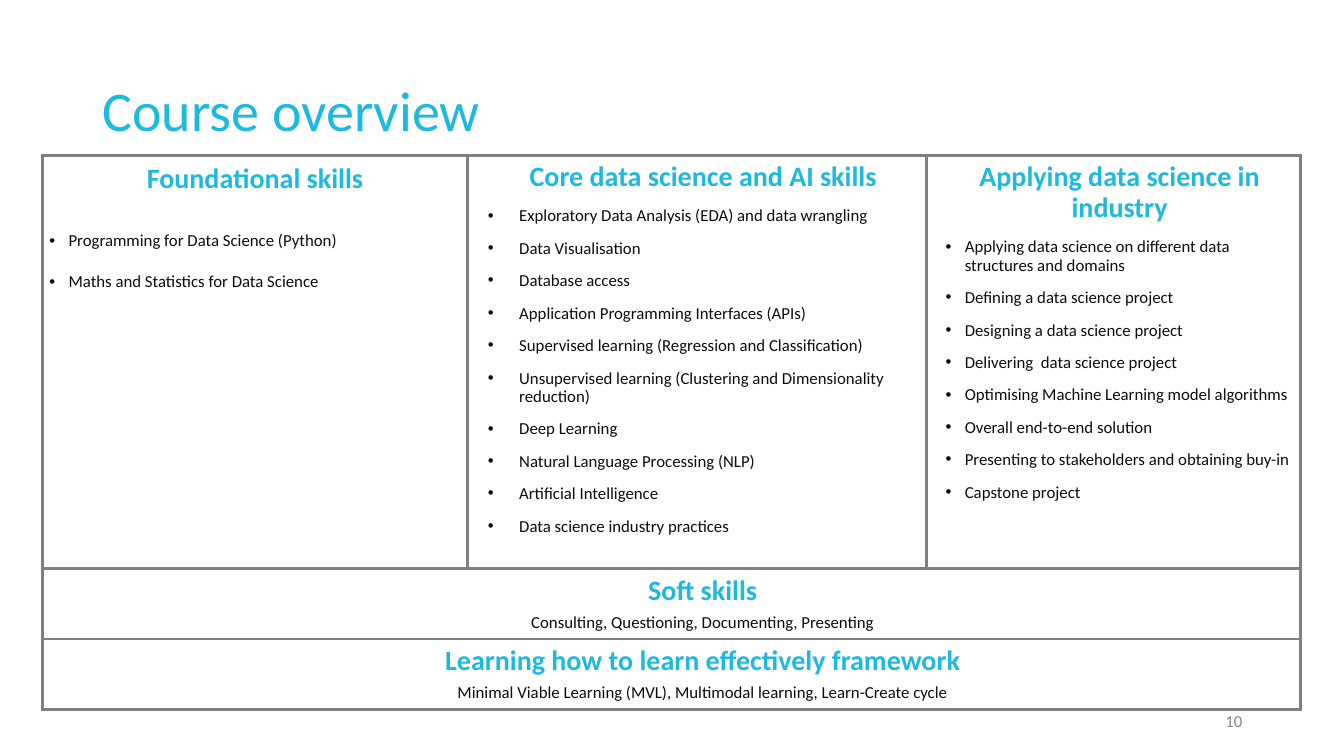
from lxml import etree
from pptx import Presentation
from pptx.dml.color import RGBColor
from pptx.enum import text
from pptx.oxml import ns
from pptx.util import Inches, Pt

COLOURS = {"accent": "1EBADD", "body": "0D0D0D", "border": "808080",
           "number": "888888", "white": "FFFFFF"}
FONT = "Calibri"
LEFT, CENTRE, RIGHT = text.PP_ALIGN.LEFT, text.PP_ALIGN.CENTER, text.PP_ALIGN.RIGHT

# Content: skill columns, then bands across the full width
SKILL_COLUMNS = [
    {"heading": "Foundational skills", "heading_margin": 0,
     "margin": 0.19, "hang": 0.19, "line": 1.0, "before": [24.4, 14.6],
     "items": ["Programming for Data Science (Python)",
               "Maths and Statistics for Data Science"]},
    {"heading": "Core data science and AI skills", "heading_margin": 0.12,
     "margin": 0.44, "hang": 0.31, "line": 0.9, "before": [10] * 10,
     "items": ["Exploratory Data Analysis (EDA) and data wrangling",
               "Data Visualisation",
               "Database access",
               "Application Programming Interfaces (APIs)",
               "Supervised learning (Regression and Classification)",
               "Unsupervised learning (Clustering and Dimensionality reduction)",
               "Deep Learning",
               "Natural Language Processing (NLP)",
               "Artificial Intelligence",
               "Data science industry practices"]},
    {"heading": "Applying data science in industry", "heading_margin": 0.12,
     "margin": 0.31, "hang": 0.19, "line": 0.9, "before": [10] * 8,
     "items": ["Applying data science on different data structures and domains",
               "Defining a data science project",
               "Designing a data science project",
               "Delivering\u00a0 data science project",
               "Optimising Machine Learning model algorithms",
               "Overall end-to-end solution",
               "Presenting to stakeholders and obtaining buy-in",
               "Capstone project"]},
]
BANDS = [
    ("Soft skills", "Consulting, Questioning, Documenting, Presenting"),
    ("Learning how to learn effectively framework",
     "Minimal Viable Learning (MVL), Multimodal learning, Learn-Create cycle"),
]
COLUMN_WIDTHS = [4.22, 4.55, 3.71]
ROW_HEIGHTS = [4.1, 0.7, 0.7]


def write(paragraph, words, size, colour, bold=False, align=LEFT, line=1.0,
          before=0, margin=0, hang=0):
    paragraph.text = words
    paragraph.alignment = align
    paragraph.line_spacing = line
    paragraph.space_before = Pt(before)
    properties = paragraph._p.get_or_add_pPr()
    properties.set("marL", str(Inches(margin)))
    properties.set("indent", str(-Inches(hang)))
    if hang:
        bullet_colour = etree.SubElement(properties, ns.qn("a:buClr"))
        etree.SubElement(bullet_colour, ns.qn("a:srgbClr"), val=COLOURS[colour])
        etree.SubElement(properties, ns.qn("a:buFont"), typeface="Arial")
        etree.SubElement(properties, ns.qn("a:buChar"), char="•")
    font = paragraph.font
    font.name, font.size, font.bold = FONT, Pt(size), bold
    font.color.rgb = RGBColor.from_string(COLOURS[colour])


def add_label(slide, box, words, size, colour, **style):
    frame = slide.shapes.add_textbox(*map(Inches, box)).text_frame
    frame.word_wrap = True
    frame.vertical_anchor = text.MSO_ANCHOR.MIDDLE
    write(frame.paragraphs[0], words, size, colour, **style)


def style_cell(cell):
    cell.margin_left = cell.margin_right = Inches(0.07)
    cell.margin_top = cell.margin_bottom = Inches(0.07)
    cell.fill.solid()
    cell.fill.fore_color.rgb = RGBColor.from_string(COLOURS["white"])
    properties = cell._tc.get_or_add_tcPr()
    for position, side in enumerate("LRTB"):
        border = etree.Element(ns.qn(f"a:ln{side}"), w=str(Pt(2.25)))
        fill = etree.SubElement(border, ns.qn("a:solidFill"))
        etree.SubElement(fill, ns.qn("a:srgbClr"), val=COLOURS["border"])
        properties.insert(position, border)


presentation = Presentation()
presentation.slide_width, presentation.slide_height = Inches(13.33), Inches(7.5)
slide = presentation.slides.add_slide(presentation.slide_layouts[6])

# Title and slide number
add_label(slide, (0.92, 0.4, 11.5, 1.45), "Course overview", 40, "accent", line=0.9)
add_label(slide, (9.42, 6.95, 3, 0.4), "10", 12, "number", align=RIGHT)

# Table grid
table = slide.shapes.add_table(
    len(ROW_HEIGHTS), len(COLUMN_WIDTHS), Inches(0.42), Inches(1.54),
    Inches(sum(COLUMN_WIDTHS)), Inches(sum(ROW_HEIGHTS))).table
table.first_row = table.horz_banding = False
for column, width in zip(table.columns, COLUMN_WIDTHS):
    column.width = Inches(width)
for row, height in zip(table.rows, ROW_HEIGHTS):
    row.height = Inches(height)
for cell in table.iter_cells():
    style_cell(cell)

# Skill columns
for index, skills in enumerate(SKILL_COLUMNS):
    frame = table.cell(0, index).text_frame
    write(frame.paragraphs[0], skills["heading"], 20, "accent", bold=True,
          align=CENTRE, line=skills["line"], margin=skills["heading_margin"])
    for item, before in zip(skills["items"], skills["before"]):
        write(frame.add_paragraph(), item, 12, "body", line=skills["line"],
              before=before, margin=skills["margin"], hang=skills["hang"])

# Full-width bands
for index, (heading, detail) in enumerate(BANDS, start=1):
    cell = table.cell(index, 0)
    cell.merge(table.cell(index, len(COLUMN_WIDTHS) - 1))
    cell.vertical_anchor = text.MSO_ANCHOR.MIDDLE
    band_style = {"align": CENTRE, "line": 0.9, "before": 5, "margin": 0.62}
    frame = cell.text_frame
    write(frame.paragraphs[0], heading, 20, "accent", bold=True, **band_style)
    write(frame.add_paragraph(), detail, 12, "body", **band_style)

presentation.save("out.pptx")
